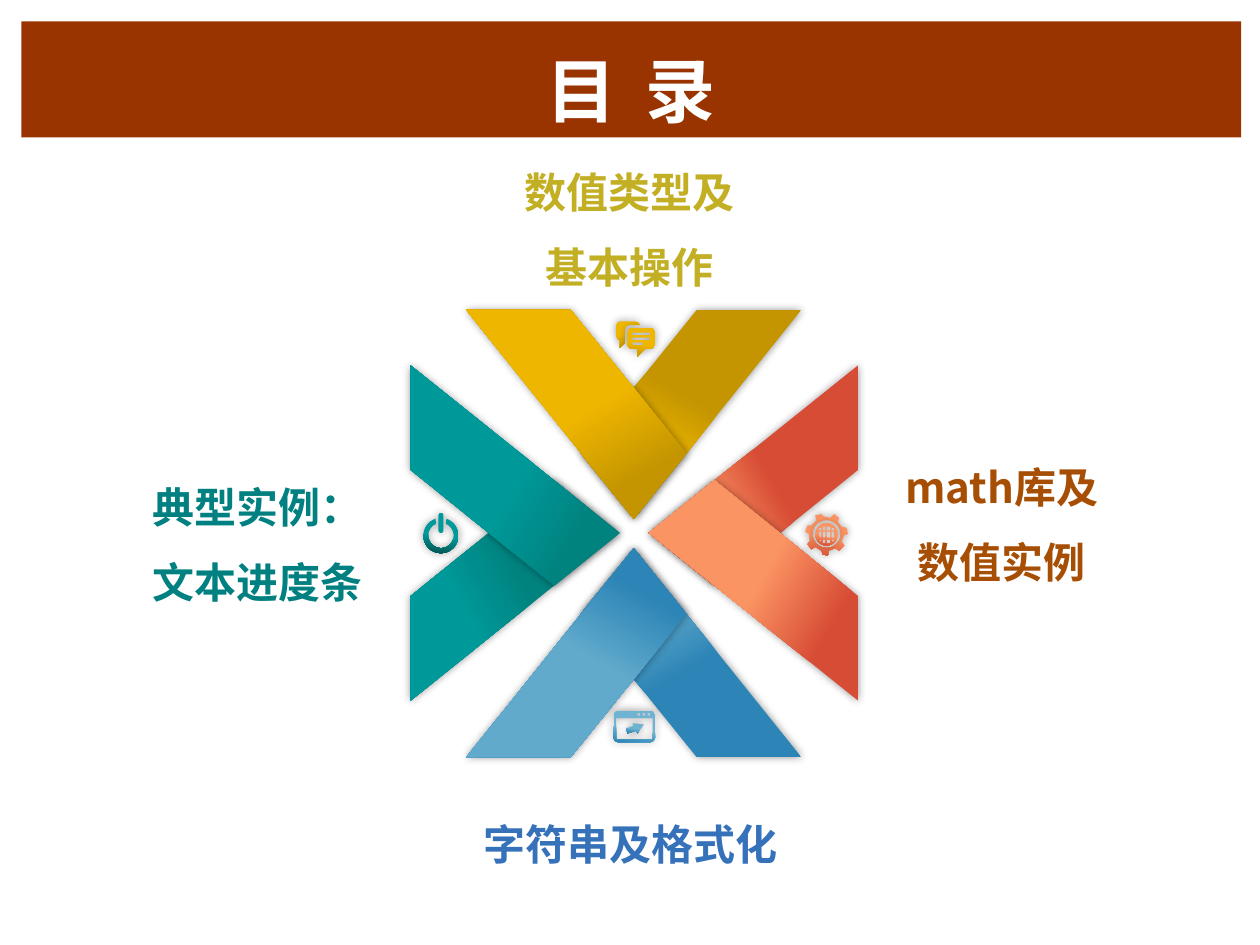
from dataclasses import dataclass
from math import cos, radians, sin

from lxml import etree
from pptx import Presentation
from pptx.dml.color import RGBColor
from pptx.enum.shapes import MSO_SHAPE
from pptx.enum.text import MSO_ANCHOR, PP_ALIGN
from pptx.oxml.ns import qn
from pptx.util import Inches, Pt

RECT = MSO_SHAPE.RECTANGLE
CENTER = PP_ALIGN.CENTER
BOTTOM = MSO_ANCHOR.BOTTOM

WHITE = RGBColor(0xFF, 0xFF, 0xFF)
BROWN = RGBColor(0x99, 0x33, 0x00)
RED = RGBColor(0xD7, 0x4C, 0x35)
ORANGE = RGBColor(0xFB, 0x94, 0x63)
DARK_GOLD = RGBColor(0xC4, 0x95, 0x00)
GOLD = RGBColor(0xEF, 0xB6, 0x00)
BLUE = RGBColor(0x2C, 0x85, 0xB6)
LIGHT_BLUE = RGBColor(0x61, 0xAA, 0xCC)
ICON_BLUE = RGBColor(0x6E, 0xB3, 0xD2)
DARK_TEAL = RGBColor(0x00, 0x82, 0x7F)
TEAL = RGBColor(0x00, 0x99, 0x99)
DEEP_TEAL = RGBColor(0x00, 0x50, 0x4E)
TEXT_GOLD = RGBColor(0xC2, 0xAF, 0x24)
TEXT_BROWN = RGBColor(0xA7, 0x4E, 0x05)
TEXT_BLUE = RGBColor(0x36, 0x72, 0xBA)
TEXT_TEAL = RGBColor(0x00, 0x80, 0x80)

TITLE_FONT = "Noto Sans CJK JP"
BODY_FONT = "Noto Sans CJK SC"

Contour = list[tuple[float, float]]


@dataclass
class Chevron:
    """Two crossing ribbons that open outward from a tip."""
    tip: tuple[float, float]
    out: tuple[int, int]
    back_side: int
    back_angle: int
    front_angle: int
    dark: RGBColor
    light: RGBColor


@dataclass
class Icon:
    """A gradient outline with optional holes."""
    contours: list[Contour]
    start: RGBColor
    end: RGBColor


@dataclass
class Label:
    """A centred caption."""
    box: tuple[float, float, float, float]
    lines: list[str]
    color: RGBColor


def arc(cx: float, cy: float, radius: float, start: int, end: int, steps: int = 6) -> Contour:
    """Return points on an arc, angles in degrees clockwise from the right."""
    angles = [radians(start + (end - start) * i / steps) for i in range(steps + 1)]
    return [(cx + radius * cos(a), cy + radius * sin(a)) for a in angles]


def box(left: float, top: float, right: float, bottom: float) -> Contour:
    """Return the corners of a rectangle."""
    return [(left, top), (right, top), (right, bottom), (left, bottom)]


def round_box(left: float, top: float, right: float, bottom: float, radius: float) -> Contour:
    """Return the outline of a rounded rectangle."""
    centers = box(left + radius, top + radius, right - radius, bottom - radius)
    return [pt for i, (x, y) in enumerate(centers)
            for pt in arc(x, y, radius, 180 + 90 * i, 270 + 90 * i)]


def draw_outline(shapes, contours: list[Contour], stops, angle: int) -> None:
    """Draw a borderless freeform with a two-stop gradient and a soft shadow."""
    outlines = [[(Inches(x), Inches(y)) for x, y in points] for points in contours]
    builder = shapes.build_freeform(*outlines[0][0])
    for i, points in enumerate(outlines):
        if i:
            builder.move_to(*points[0])
        builder.add_line_segments(points[1:], close=True)
    s = builder.convert_to_shape()
    s.line.fill.background()
    s.fill.gradient()
    s.fill.gradient_angle = 360 - angle
    for stop, (position, color) in zip(s.fill.gradient_stops, stops):
        stop.position = position
        stop.color.rgb = color
    effects = etree.SubElement(s._element.spPr, qn("a:effectLst"))
    shadow = etree.SubElement(effects, qn("a:outerShdw"), blurRad=str(Pt(5)), dist="0",
                              dir="0", algn="ctr", rotWithShape="0")
    black = etree.SubElement(shadow, qn("a:srgbClr"), val="000000")
    etree.SubElement(black, qn("a:alpha"), val="40000")


def draw_chevron(shapes, chevron: Chevron) -> None:
    """Draw the back ribbon, then its mirror image in front."""
    (x, y), (dx, dy) = chevron.tip, chevron.out
    ribbons = [(chevron.back_side, chevron.back_angle, 0.45, 0.7),
               (-chevron.back_side, chevron.front_angle, 0.2, 0.5)]
    for side, angle, first, last in ribbons:
        local = [(0, 0), (1.66, 1.33 * side), (1.66, 0.5 * side), (0.52, -0.42 * side)]
        points = [(x + u * dx + v * abs(dy), y + u * dy + v * abs(dx)) for u, v in local]
        draw_outline(shapes, [points], [(first, chevron.dark), (last, chevron.light)], angle)


def write(tf, lines: list[str], font: str, size: int, color: RGBColor, spacing: float,
          tracking: int = 0) -> None:
    """Fill a text frame with bold centred paragraphs; tracking is in 1/100 pt."""
    tf.word_wrap = True
    for i, line in enumerate(lines):
        p = tf.add_paragraph() if i else tf.paragraphs[0]
        r = p.add_run()
        r.text = line
        p.alignment = CENTER
        p.line_spacing = spacing
        p.font.name, p.font.size, p.font.bold = font, Pt(size), True
        p.font.color.rgb = color
        etree.SubElement(p._p.pPr.find(qn("a:defRPr")), qn("a:ea"), typeface=font)
        if tracking:
            r._r.get_or_add_rPr().set("spc", str(tracking))


CHEVRONS = [
    Chevron((5.15, 4.23), (1, 0), -1, 150, 210, RED, ORANGE),
    Chevron((5.03, 4.12), (0, -1), 1, 120, 240, DARK_GOLD, GOLD),
    Chevron((5.03, 4.35), (0, 1), 1, 240, 120, BLUE, LIGHT_BLUE),
    Chevron((4.92, 4.23), (-1, 0), 1, 150, 210, DARK_TEAL, TEAL),
]

GEAR = [(6.54, 4.1), (6.59, 4.11), (6.62, 4.08), (6.66, 4.11), (6.65, 4.14), (6.68, 4.18),
        (6.72, 4.19), (6.73, 4.24), (6.7, 4.25), (6.68, 4.3), (6.7, 4.33), (6.66, 4.37),
        (6.63, 4.35), (6.58, 4.37), (6.57, 4.41), (6.53, 4.4), (6.52, 4.37), (6.47, 4.34),
        (6.44, 4.36), (6.41, 4.32), (6.43, 4.29), (6.42, 4.24), (6.39, 4.22), (6.41, 4.17),
        (6.44, 4.17), (6.48, 4.13), (6.47, 4.09), (6.52, 4.08)]
GLOBE_COLUMNS = [(6.5, 6.52, 0.01), (6.53, 6.55, 0), (6.56, 6.59, 0), (6.6, 6.62, 0.01)]
GLOBE_GAPS = [box(left, top, right, bottom) for left, right, inset in GLOBE_COLUMNS
              for top, bottom in ((4.18 + inset, 4.21), (4.22, 4.27), (4.28, 4.31 - inset))]
BACK_BUBBLE = [(5.08, 2.58), (5.07, 2.56), (5.04, 2.55), (4.92, 2.55), (4.9, 2.56),
               (4.89, 2.58), (4.89, 2.66), (4.9, 2.69), (4.92, 2.7), (4.92, 2.76),
               (4.96, 2.72), (4.96, 2.62), (4.97, 2.59), (5, 2.58)]
BUBBLE_LINES = [box(5.02, top, right, top + 0.02)
                for top, right in ((2.64, 5.16), (2.68, 5.16), (2.72, 5.1))]
ARROW = [(4.97, 5.78), (5.03, 5.76), (5.02, 5.74), (5.11, 5.75), (5.06, 5.82),
         (5.05, 5.8), (4.98, 5.82)]
POWER_RING = arc(3.5, 4.25, 0.14, -72, 252, 36) + arc(3.5, 4.25, 0.1, 247, -67, 36)

ICONS = [
    Icon([GEAR, arc(6.56, 4.24, 0.11, 0, 360, 24)], ORANGE, RED),
    Icon([arc(6.56, 4.24, 0.09, 0, 360, 24), *GLOBE_GAPS], ORANGE, RED),
    Icon([BACK_BUBBLE], GOLD, DARK_GOLD),
    Icon([round_box(4.98, 2.6, 5.2, 2.77, 0.04), [(5.06, 2.77), (5.06, 2.83), (5.12, 2.77)],
          *BUBBLE_LINES], GOLD, DARK_GOLD),
    Icon([ARROW], ICON_BLUE, BLUE),
    Icon([round_box(4.87, 5.64, 5.2, 5.89, 0.04), box(4.89, 5.7, 5.18, 5.87),
          *(box(x, 5.66, x + 0.02, 5.68) for x in (5.06, 5.1, 5.14))], ICON_BLUE, BLUE),
    Icon([POWER_RING, round_box(3.48, 4.07, 3.52, 4.23, 0.02)], TEAL, DEEP_TEAL),
]

LABELS = [
    Label((3.11, 1.07, 3.78, 1.24), ["数值类型及", "基本操作"], TEXT_GOLD),
    Label((6.81, 3.41, 2.28, 1.31), ["math库及", "数值实例"], TEXT_BROWN),
    Label((3.63, 6.25, 2.75, 0.64), ["字符串及格式化"], TEXT_BLUE),
    Label((0.59, 3.57, 2.9, 1.24), ["典型实例：", "文本进度条"], TEXT_TEAL),
]


def main() -> None:
    """Build and save the contents slide."""
    prs = Presentation()
    prs.slide_width, prs.slide_height = Inches(10), Inches(7.5)
    shapes = prs.slides.add_slide(prs.slide_layouts[6]).shapes

    title = shapes.add_shape(RECT, Inches(0.17), Inches(0.17), Inches(9.68), Inches(0.92))
    title.shadow.inherit = False
    title.fill.solid()
    title.fill.fore_color.rgb = BROWN
    title.line.fill.background()
    title.text_frame.vertical_anchor = BOTTOM
    write(title.text_frame, ["目  录"], TITLE_FONT, 40, WHITE, 1.0, tracking=-50)

    for chevron in CHEVRONS:
        draw_chevron(shapes, chevron)
    for icon in ICONS:
        draw_outline(shapes, icon.contours, [(0.56, icon.start), (1.0, icon.end)], 100)
    for label in LABELS:
        tb = shapes.add_textbox(*(Inches(v) for v in label.box))
        write(tb.text_frame, label.lines, BODY_FONT, 24, label.color, 1.5)
    prs.save("out.pptx")


main()
